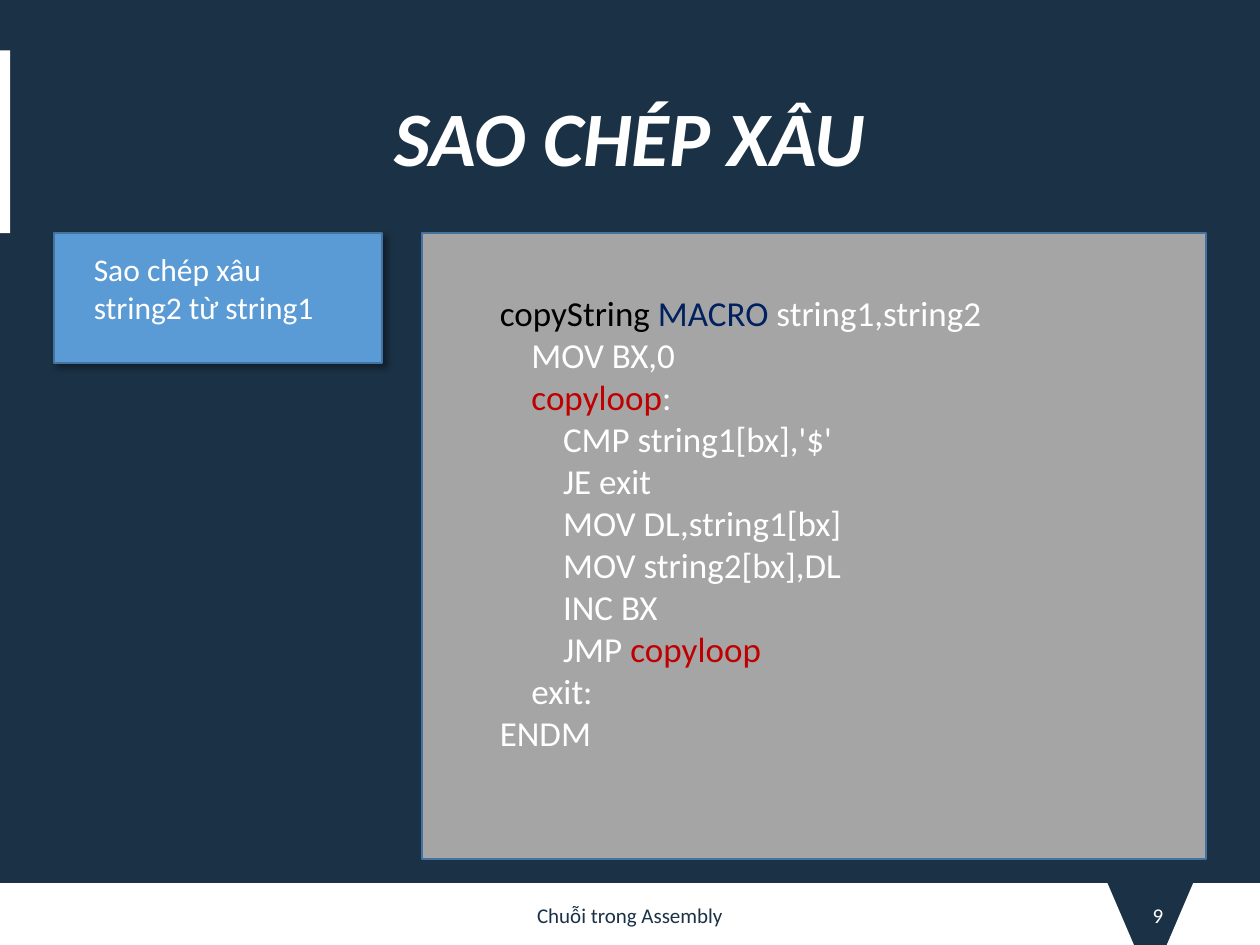
import pptx
import pptx.util
import pptx.dml.color
import pptx.enum.shapes
import pptx.enum.text
import pptx.oxml
import pptx.oxml.ns

Inches = pptx.util.Inches
Pt = pptx.util.Pt
RGBColor = pptx.dml.color.RGBColor
Align = pptx.enum.text.PP_ALIGN
Anchor = pptx.enum.text.MSO_ANCHOR
Shape = pptx.enum.shapes.MSO_SHAPE

NAVY = RGBColor(0x1B, 0x31, 0x45)
WHITE = RGBColor(0xFF, 0xFF, 0xFF)
BLACK = RGBColor(0x00, 0x00, 0x00)
BLUE = RGBColor(0x5B, 0x9B, 0xD5)
BLUE_EDGE = RGBColor(0x43, 0x73, 0x9E)
GRAY = RGBColor(0xA5, 0xA5, 0xA5)
KEYWORD = RGBColor(0x00, 0x20, 0x60)
LABEL = RGBColor(0xC0, 0x00, 0x00)

# Each code line is a list of (text, colour) runs.
CODE = [
    [("copyString ", BLACK), ("MACRO", KEYWORD), (" string1,string2", WHITE)],
    [("    MOV BX,0", WHITE)],
    [("    ", WHITE), ("copyloop", LABEL), (":", WHITE)],
    [("        CMP string1[bx],'$'", WHITE)],
    [("        JE exit", WHITE)],
    [("        MOV DL,string1[bx]", WHITE)],
    [("        MOV string2[bx],DL", WHITE)],
    [("        INC BX", WHITE)],
    [("        JMP ", WHITE), ("copyloop", LABEL)],
    [("    exit:", WHITE)],
    [("ENDM", WHITE)],
]


class SlideBuilder:
    font_name = "Calibri"

    def __init__(self, slide):
        self.slide = slide
        slide.background.fill.solid()
        slide.background.fill.fore_color.rgb = NAVY

    def paint(self, shape, fill, line=None):
        shape.shadow.inherit = False
        shape.fill.solid()
        shape.fill.fore_color.rgb = fill
        if line is None:
            shape.line.fill.background()
        else:
            shape.line.color.rgb = line
            shape.line.width = Pt(1)

    def bar(self, left, top, width, height):
        shape = self.slide.shapes.add_shape(
            Shape.RECTANGLE, Inches(left), Inches(top), Inches(width), Inches(height))
        self.paint(shape, WHITE)

    def outline(self, *polygons):
        """Draw closed polygons as one white shape."""
        builder = None
        for polygon in polygons:
            points = [(Inches(x), Inches(y)) for x, y in polygon]
            if builder is None:
                builder = self.slide.shapes.build_freeform(*points[0])
            else:
                builder.move_to(*points[0])
            builder.add_line_segments(points[1:], close=True)
        self.paint(builder.convert_to_shape(), WHITE)

    def fill_text(self, frame, lines, size, align):
        frame.word_wrap = True
        for index, line in enumerate(lines):
            paragraph = frame.add_paragraph() if index else frame.paragraphs[0]
            paragraph.alignment = align
            paragraph.font.name = self.font_name
            paragraph.font.size = Pt(size)
            for text, color in line:
                run = paragraph.add_run()
                run.text = text
                run.font.color.rgb = color

    def label(self, left, top, width, height, text, size, color, align):
        box = self.slide.shapes.add_textbox(
            Inches(left), Inches(top), Inches(width), Inches(height))
        box.text_frame.vertical_anchor = Anchor.MIDDLE
        self.fill_text(box.text_frame, [[(text, color)]], size, align)
        return box.text_frame.paragraphs[0]

    def panel(self, left, width, height, fill, lines, size):
        shape = self.slide.shapes.add_shape(
            Shape.PARALLELOGRAM, Inches(left), Inches(1.85), Inches(width), Inches(height))
        shape.adjustments[0] = 0
        self.paint(shape, fill, BLUE_EDGE)
        shape.text_frame.vertical_anchor = Anchor.TOP
        self.fill_text(shape.text_frame, lines, size, Align.LEFT)
        return shape

    def drop_shadow(self, shape):
        effects = shape._element.spPr.find(pptx.oxml.ns.qn("a:effectLst"))
        effects.append(pptx.oxml.parse_xml(
            f'<a:outerShdw {pptx.oxml.ns.nsdecls("a")} blurRad="{Pt(4)}" dist="{Pt(3)}" '
            'dir="2700000" algn="tl" rotWithShape="0"><a:srgbClr val="000000">'
            '<a:alpha val="40000"/></a:srgbClr></a:outerShdw>'))


def main():
    presentation = pptx.Presentation()
    presentation.slide_width = Inches(10)
    presentation.slide_height = Inches(7.5)
    builder = SlideBuilder(presentation.slides.add_slide(presentation.slide_layouts[6]))

    builder.bar(0, 0.4, 0.08, 1.45)
    builder.outline(
        [(0, 7.01), (8.79, 7.01), (9, 7.5), (0, 7.5)],
        [(9.47, 7.01), (10, 7.01), (10, 7.5), (9.26, 7.5)])

    title = builder.label(0.69, 0.4, 8.62, 1.45, "SAO CHÉP XÂU", 44, WHITE, Align.CENTER)
    title.line_spacing = 0.9
    title.font.bold = True
    title.font.italic = True
    builder.label(2.77, 7.06, 4.46, 0.4, "Chuỗi trong Assembly", 12, NAVY, Align.CENTER)
    builder.label(8.86, 7.06, 0.47, 0.4, "9", 12, WHITE, Align.RIGHT)

    task = builder.panel(
        0.43, 2.6, 1.03, BLUE, [[("Sao chép xâu string2 từ string1", WHITE)]], 18)
    builder.drop_shadow(task)
    builder.panel(3.35, 6.22, 4.97, GRAY, CODE, 20)

    presentation.save("out.pptx")


if __name__ == "__main__":
    main()
